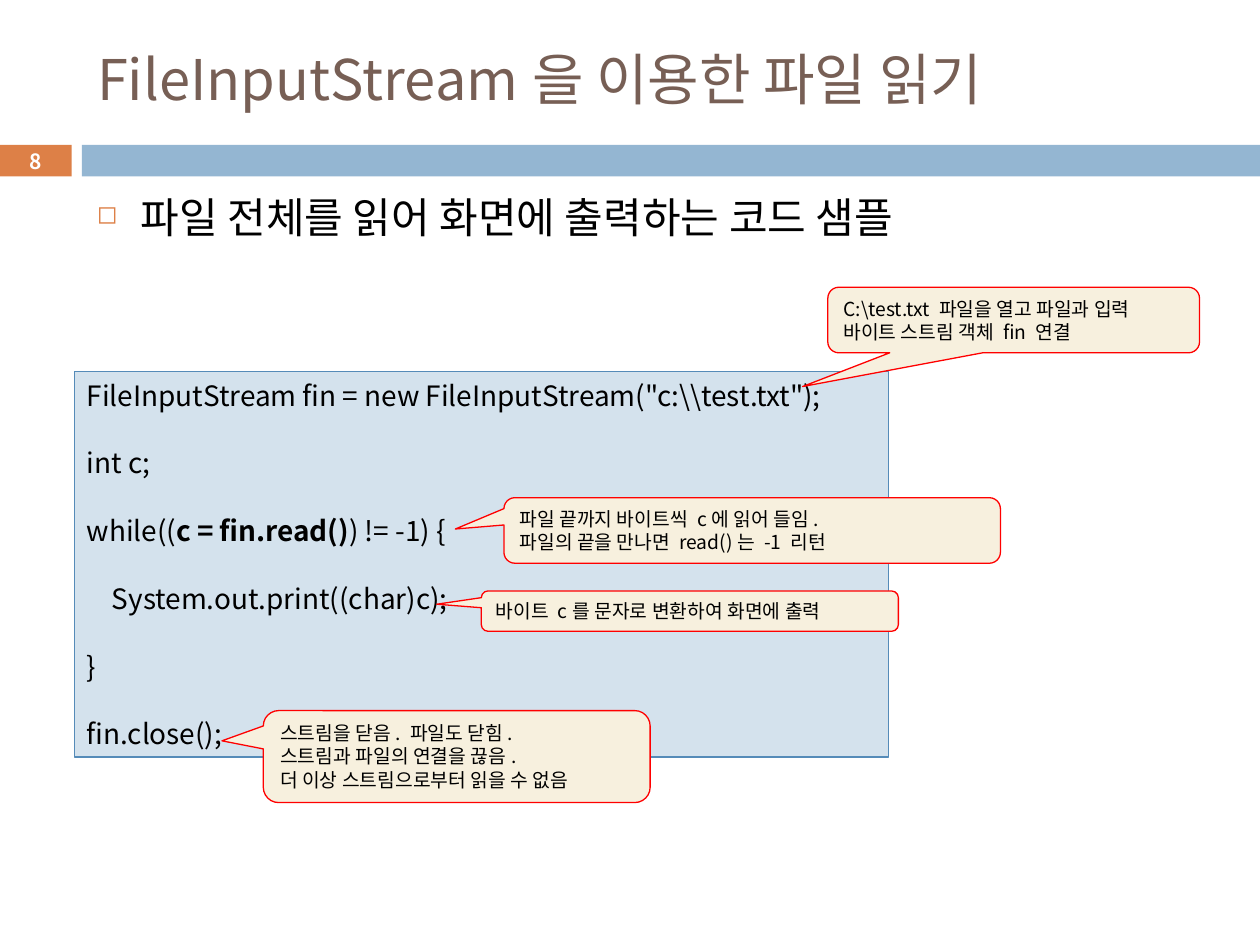
"""Build a slide that explains reading a file with FileInputStream."""
from lxml import etree
from pptx import Presentation
from pptx import util as u
from pptx.dml.color import RGBColor
from pptx.enum import shapes, text
from pptx.oxml import ns

FONT = "Noto Sans CJK KR"
BLACK = RGBColor(0, 0, 0)
WHITE = RGBColor(255, 255, 255)
BROWN = RGBColor(0x77, 0x5F, 0x55)
ORANGE = RGBColor(0xDD, 0x80, 0x47)
BLUE = RGBColor(0x94, 0xB6, 0xD2)
CODE_FILL = RGBColor(0xD4, 0xE2, 0xED)
CODE_LINE = RGBColor(0x55, 0x8B, 0xB8)
NOTE_FILL = RGBColor(0xF7, 0xF0, 0xDE)
RED = RGBColor(255, 0, 0)

COLUMNS, ROWS = 100, 75
LINE_HEIGHT = 1.21

CODE = [
    (0, [('FileInputStream fin = new FileInputStream("c:\\\\test.txt");', False)]),
    (0, [("int c;", False)]),
    (0, [("while((", False), ("c = fin.read()", True), (") != -1) {", False)]),
    (0.2, [("System.out.print((char)c);", False)]),
    (0, [("}", False)]),
    (0, [("fin.close();", False)]),
]
NOTES = [
    ((65.7, 22.8, 29.5, 5.2), (-0.568, 1.015),
     ["C:\\test.txt 파일을 열고 파일과 입력 바이트 스트림 객체 fin 연결"]),
    ((40, 39.5, 39.4, 5.2), (-0.598, -0.022),
     ["파일 끝까지 바이트씩 c에 읽어 들임.", "파일의 끝을 만나면 read()는 -1 리턴"]),
    ((38.2, 46.9, 33.1, 3.2), (-0.607, -0.171),
     ["바이트 c를 문자로 변환하여 화면에 출력"]),
    ((20.9, 56.4, 30.7, 7.3), (-0.607, -0.171),
     ["스트림을 닫음. 파일도 닫힘.", "스트림과 파일의 연결을 끊음.",
      "더 이상 스트림으로부터 읽을 수 없음"]),
]


def assign(target, values):
    """Set each named attribute of the target."""
    for name, value in values.items():
        setattr(target, name, value)


class SlideBuilder:
    """Hold the style and the current slide, and add its elements."""

    def __init__(self, presentation):
        self.cell = presentation.slide_width / COLUMNS, presentation.slide_height / ROWS
        self.slide = presentation.slides.add_slide(presentation.slide_layouts[5])

    def box(self, area):
        """Turn columns and rows into left, top, width and height."""
        return [int(length * self.cell[i % 2]) for i, length in enumerate(area)]

    def fill_text(self, shape, lines, size, color=BLACK, anchor=text.MSO_ANCHOR.TOP, **layout):
        """Fill a shape with lines, each a list of text and bold pairs."""
        frame = shape.text_frame
        assign(frame, {"word_wrap": True, "vertical_anchor": anchor,
                       "auto_size": text.MSO_AUTO_SIZE.NONE})
        for index, runs in enumerate(lines):
            paragraph = frame.add_paragraph() if index else frame.paragraphs[0]
            assign(paragraph, {"alignment": text.PP_ALIGN.LEFT, **layout})
            for words, bold in runs:
                run = paragraph.add_run()
                run.text = words
                assign(run.font, {"size": u.Pt(size), "bold": bold, "name": FONT})
                run.font.color.rgb = color
                east_asian = etree.SubElement(run.font._element, ns.qn("a:ea"))
                east_asian.set("typeface", FONT)
        return frame.paragraphs

    def title(self, area, words):
        """Move and format the title placeholder."""
        title = self.slide.shapes.title
        assign(title, dict(zip(("left", "top", "width", "height"), self.box(area))))
        self.fill_text(title, [[(words, False)]], 32, BROWN, text.MSO_ANCHOR.MIDDLE)

    def shape(self, area, fill, line=None, kind=shapes.MSO_SHAPE.RECTANGLE):
        """Add a flat preset shape."""
        shape = self.slide.shapes.add_shape(kind, *self.box(area))
        shape.shadow.inherit = False
        shape.fill.solid()
        shape.fill.fore_color.rgb = fill
        if line is None:
            shape.line.fill.background()
        else:
            shape.line.color.rgb = line
            shape.line.width = u.Pt(0.75)
        return shape

    def bullet(self, area, words):
        """Add a text box with one square-bulleted line."""
        shape = self.slide.shapes.add_textbox(*self.box(area))
        paragraph = self.fill_text(shape, [[(words, False)]], 24, space_before=u.Pt(7))[0]
        properties = paragraph._p.get_or_add_pPr()
        indent = u.Inches(0.35)
        properties.set("marL", str(indent))
        properties.set("indent", str(-indent))
        color = etree.SubElement(properties, ns.qn("a:buClr"))
        etree.SubElement(color, ns.qn("a:srgbClr")).set("val", str(ORANGE))
        etree.SubElement(properties, ns.qn("a:buSzPct")).set("val", "60000")
        etree.SubElement(properties, ns.qn("a:buChar")).set("char", "◻")

    def code(self, area, lines, size=16):
        """Add a code panel whose lines stand one line apart."""
        panel = self.shape(area, CODE_FILL, CODE_LINE)
        pitch = u.Pt(size * LINE_HEIGHT)
        paragraphs = self.fill_text(panel, [runs for _, runs in lines], size,
                                    line_spacing=pitch, space_after=pitch)
        for paragraph, (indent, _) in zip(paragraphs, lines):
            paragraph._p.get_or_add_pPr().set("marL", str(u.Inches(indent)))

    def note(self, area, tip, lines, size=11):
        """Add a callout that points at a line of code."""
        callout = self.shape(area, NOTE_FILL, RED,
                             shapes.MSO_SHAPE.ROUNDED_RECTANGULAR_CALLOUT)
        for index, value in enumerate((*tip, 0.167)):
            callout.adjustments[index] = value
        self.fill_text(callout, [[(line, False)] for line in lines], size,
                       line_spacing=u.Pt(size * LINE_HEIGHT))


def main():
    """Build and save the slide."""
    presentation = Presentation()
    assign(presentation, {"slide_width": u.Inches(10), "slide_height": u.Inches(7.5)})
    builder = SlideBuilder(presentation)
    builder.title((6.7, 2.5, 89.2, 7.4), "FileInputStream을 이용한 파일 읽기")
    number = builder.shape((0, 11.5, 5.7, 2.5), ORANGE)
    builder.fill_text(number, [[("8", True)]], 12, WHITE, text.MSO_ANCHOR.MIDDLE,
                      alignment=text.PP_ALIGN.CENTER)
    builder.shape((6.5, 11.5, 93.5, 2.5), BLUE)
    builder.bullet((6.7, 14.7, 89.2, 55.1), "파일 전체를 읽어 화면에 출력하는 코드 샘플")
    builder.code((5.9, 29.5, 64.6, 30.6), CODE)
    for area, tip, lines in NOTES:
        builder.note(area, tip, lines)
    presentation.save("out.pptx")


if __name__ == "__main__":
    main()
